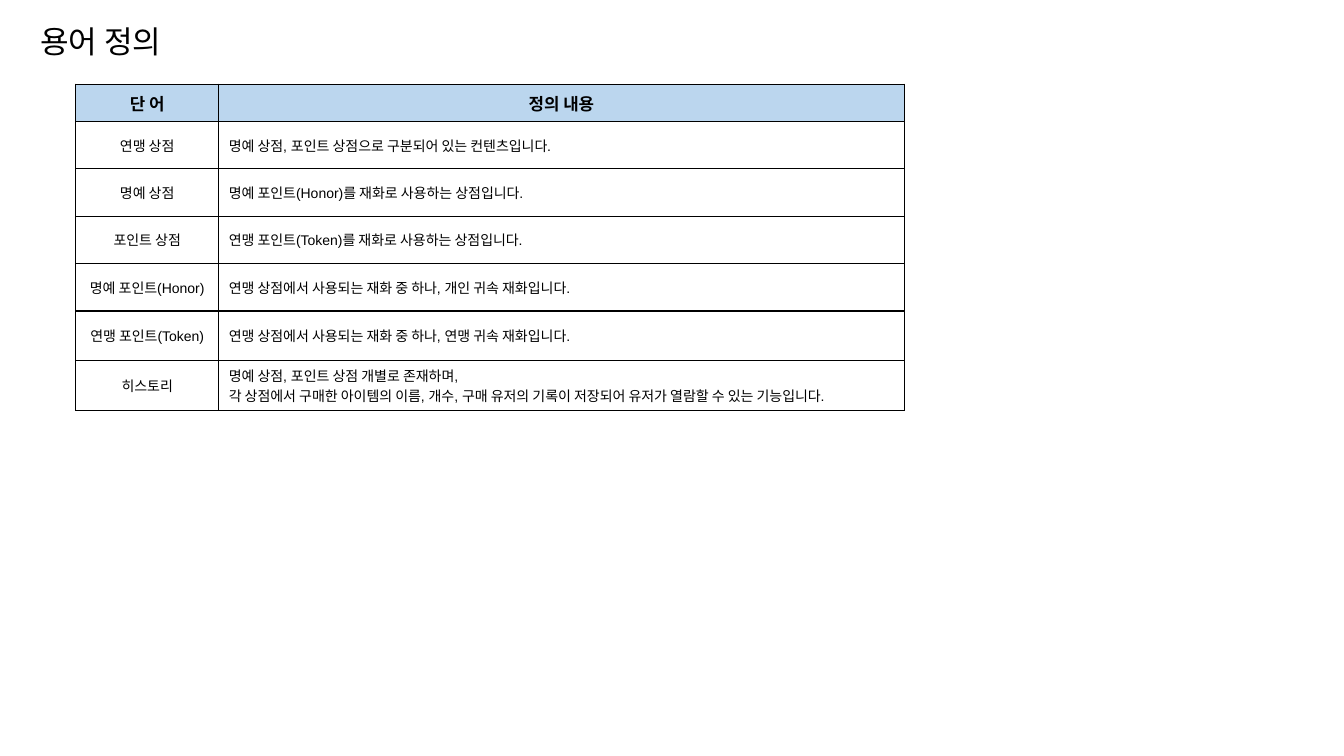
from lxml import etree
from pptx import Presentation
from pptx.dml.color import RGBColor
from pptx.enum import text
from pptx.oxml import ns
from pptx.util import Pt

# Content
TITLE = "용어 정의"
HEADER = ("단 어", "정의 내용")
TERMS = [
    ("연맹 상점", "명예 상점, 포인트 상점으로 구분되어 있는 컨텐츠입니다."),
    ("명예 상점", "명예 포인트(Honor)를 재화로 사용하는 상점입니다."),
    ("포인트 상점", "연맹 포인트(Token)를 재화로 사용하는 상점입니다."),
    ("명예 포인트(Honor)", "연맹 상점에서 사용되는 재화 중 하나, 개인 귀속 재화입니다."),
    ("연맹 포인트(Token)", "연맹 상점에서 사용되는 재화 중 하나, 연맹 귀속 재화입니다."),
    ("히스토리", "명예 상점, 포인트 상점 개별로 존재하며,\n"
     "각 상점에서 구매한 아이템의 이름, 개수, 구매 유저의 기록이 저장되어 "
     "유저가 열람할 수 있는 기능입니다."),
]

# Theme and layout, lengths in points
THEME = {
    "font": "Arial", "ink": "000000", "header_fill": "BBD6EE", "body_fill": "FFFFFF",
    "title_size": 22.2, "header_size": 12, "body_size": 10, "border": 1,
}
SLIDE_SIZE = (960, 540)
TITLE_BOX = (21.6, 0.72, 467.28, 46.08)
TABLE_ORIGIN = (54, 60.2)
COLUMN_WIDTHS = (102.24, 489.6)
ROW_HEIGHTS = (26.64, *[33.84] * 4, *[35.28] * 2)
LEFT, CENTER = text.PP_ALIGN.LEFT, text.PP_ALIGN.CENTER


def apply(target, values):
    for name, value in values.items():
        setattr(target, name, value)


def format_text(paragraph, size, bold, alignment):
    paragraph.alignment = alignment
    for run in paragraph.runs:
        apply(run.font, {"name": THEME["font"], "size": Pt(size), "bold": bold})
        run.font.color.rgb = RGBColor.from_string(THEME["ink"])
    # Line breaks take the type size of their line
    for line_break in paragraph._p.findall(ns.qn("a:br")):
        etree.SubElement(line_break, ns.qn("a:rPr"), sz=str(int(size * 100)))


def add_borders(cell):
    properties = cell._tc.get_or_add_tcPr()
    for position, side in enumerate(("lnL", "lnR", "lnT", "lnB")):
        line = etree.Element(ns.qn(f"a:{side}"), w=str(Pt(THEME["border"])))
        fill = etree.SubElement(line, ns.qn("a:solidFill"))
        etree.SubElement(fill, ns.qn("a:srgbClr"), val=THEME["ink"])
        properties.insert(position, line)


def add_title(slide):
    title = slide.shapes.title
    apply(title, dict(zip(("left", "top", "width", "height"), map(Pt, TITLE_BOX))))
    frame = title.text_frame
    frame.text = TITLE
    apply(frame, {"word_wrap": True, "auto_size": text.MSO_AUTO_SIZE.NONE,
                  "vertical_anchor": text.MSO_ANCHOR.MIDDLE})
    paragraph = frame.paragraphs[0]
    apply(paragraph, {"line_spacing": 1.4, "space_before": Pt(0)})
    format_text(paragraph, THEME["title_size"], False, LEFT)


def add_glossary(slide):
    rows = [HEADER, *TERMS]
    extent = (sum(COLUMN_WIDTHS), sum(ROW_HEIGHTS))
    table = slide.shapes.add_table(
        len(rows), len(HEADER), *map(Pt, TABLE_ORIGIN + extent)).table
    for column, width in zip(table.columns, COLUMN_WIDTHS):
        column.width = Pt(width)
    for row, height in zip(table.rows, ROW_HEIGHTS):
        row.height = Pt(height)
    for row_index, row in enumerate(rows):
        is_header = row_index == 0
        kind = "header" if is_header else "body"
        for column_index, words in enumerate(row):
            cell = table.cell(row_index, column_index)
            cell.vertical_anchor = text.MSO_ANCHOR.MIDDLE
            cell.fill.solid()
            cell.fill.fore_color.rgb = RGBColor.from_string(THEME[f"{kind}_fill"])
            add_borders(cell)
            paragraph = cell.text_frame.paragraphs[0]
            paragraph.text = words
            centered = is_header or column_index == 0
            format_text(paragraph, THEME[f"{kind}_size"], is_header,
                        CENTER if centered else LEFT)


def main():
    presentation = Presentation()
    presentation.slide_width, presentation.slide_height = map(Pt, SLIDE_SIZE)
    slide = presentation.slides.add_slide(presentation.slide_layouts[5])
    add_title(slide)
    add_glossary(slide)
    presentation.save("out.pptx")


if __name__ == "__main__":
    main()
